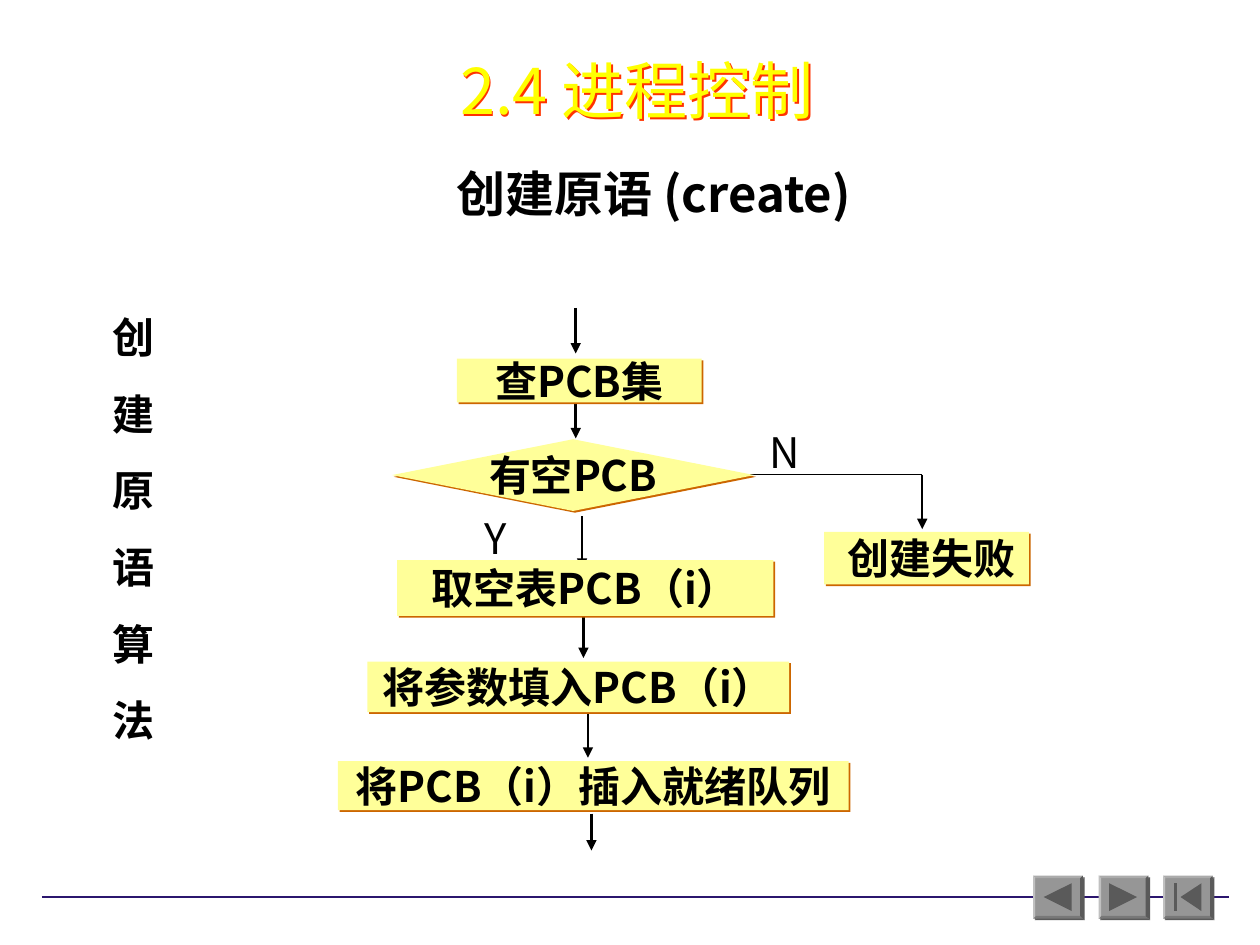
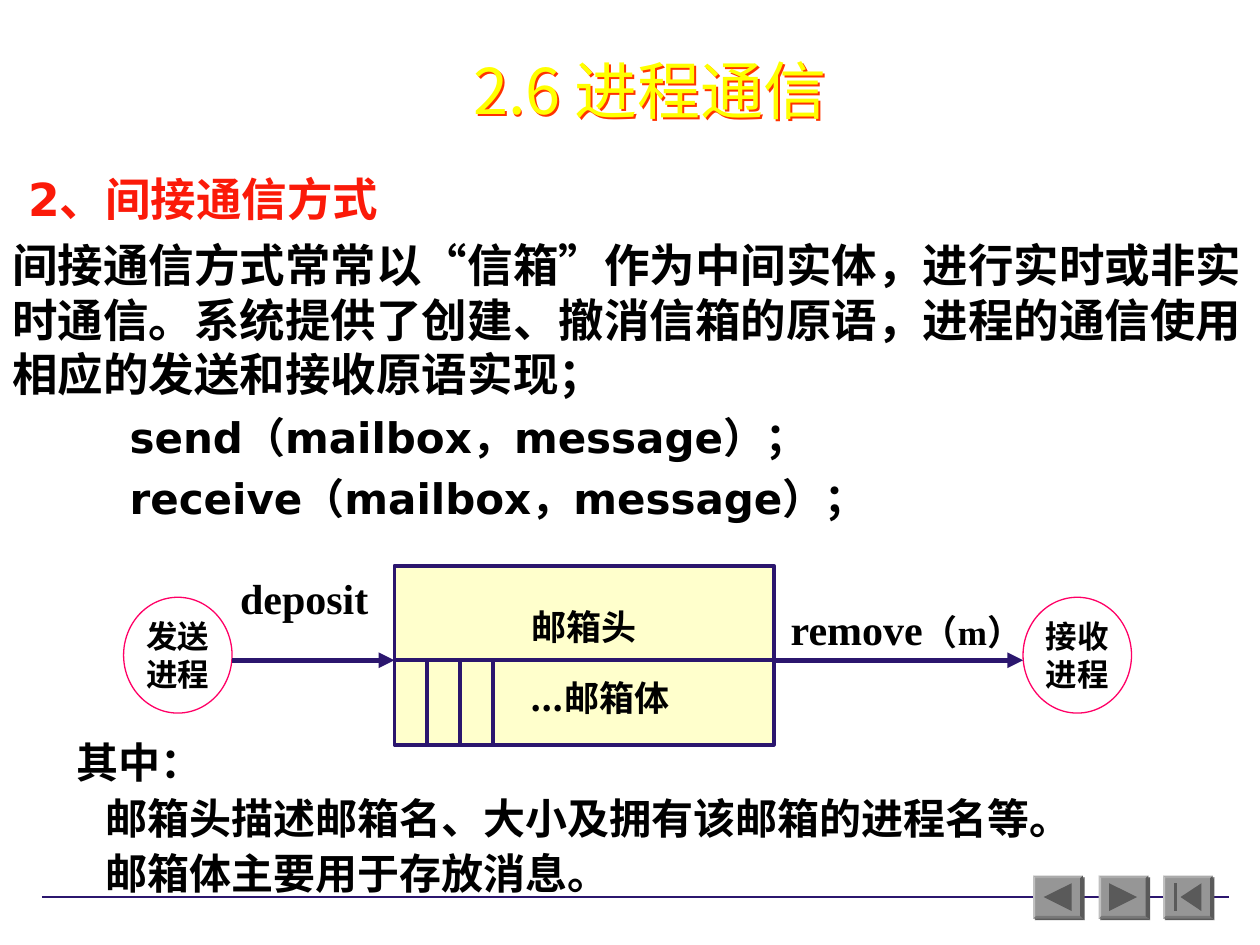
from lxml import etree
from pptx import Presentation
from pptx.dml.color import RGBColor
from pptx.enum import shapes, text
from pptx.oxml.ns import qn
from pptx.util import Pt

BLACK = RGBColor(0, 0, 0)
WHITE = RGBColor(255, 255, 255)
NAVY = RGBColor(0x2B, 0x16, 0x6E)
RED = RGBColor(0xFB, 0x1A, 0x09)
PINK = RGBColor(0xFF, 0x00, 0x66)
TITLE_YELLOW = RGBColor(0xFF, 0xFF, 0x00)
TITLE_SHADOW = RGBColor(0xFF, 0x33, 0x00)
STEP_YELLOW = RGBColor(0xFF, 0xFF, 0x99)
STEP_SHADOW = RGBColor(0xCC, 0x66, 0x00)
MAILBOX_CREAM = RGBColor(0xFF, 0xFF, 0xCC)
BUTTON_GREY = RGBColor(0x96, 0x96, 0x96)
BUTTON_DARK = RGBColor(0x5A, 0x5A, 0x5A)

SANS, TITLE_FONT = "Noto Sans CJK SC", "Noto Sans CJK JP"
LATIN_SANS, SERIF = "DejaVu Sans", "Times New Roman"
RECTANGLE = shapes.MSO_SHAPE.RECTANGLE
DECISION = shapes.MSO_SHAPE.FLOWCHART_DECISION
LEFT, CENTER = text.PP_ALIGN.LEFT, text.PP_ALIGN.CENTER
TOP, MIDDLE = text.MSO_ANCHOR.TOP, text.MSO_ANCHOR.MIDDLE

# Navigation glyphs: outlines relative to the top left of each button
BUTTON_TOP, BUTTON_SIZE = 500.4, (28.4, 24.5)
BUTTONS = [
    (590.4, [[(6, 12.2), (22, 4.3), (22, 20.2)]]),
    (627.8, [[(6, 4.3), (22, 12.2), (6, 20.2)]]),
    (664.6, [[(10, 12.2), (22, 4.3), (22, 20.2)],
             [(6.3, 4.3), (7.7, 4.3), (7.7, 20.2), (6.3, 20.2)]]),
]

# Flowchart: text, shape, box (left, top, width, height)
STEPS = [
    ("查PCB集", RECTANGLE, (261, 205, 140, 25)),
    ("有空PCB", DECISION, (224, 251, 207, 41)),
    ("取空表PCB（i）", RECTANGLE, (227, 320, 215, 32)),
    ("将参数填入PCB（i）", RECTANGLE, (210, 378, 241, 29)),
    ("将PCB（i）插入就绪队列", RECTANGLE, (193, 435, 292, 28)),
]
FAILURE = ("创建失败", RECTANGLE, (471, 304, 117, 30))
# x, start y, end y
FLOW_ARROWS = [(329, 176, 202), (329, 230, 250.5), (332.6, 295, 325),
               (333.4, 351, 376), (336, 407, 433), (338, 465, 486)]
BRANCH_LABELS = [("N", (430.6, 240, 36, 36)), ("Y", (267, 289.5, 32, 36))]
SIDE_LABEL = "创建原语算法"

INDIRECT = [
    dict(text="2、间接通信方式", size=26, color=RED, indent=9),
    dict(text="间接通信方式常常以“信箱”作为中间实体，进行实时或非实时通信。"
              "系统提供了创建、撤消信箱的原语，进程的通信使用相应的发送和接收原语实现；",
         size=26, before=6.5),
    dict(text="send（mailbox，message）；", size=24, before=6, indent=67),
    dict(text="receive（mailbox，message）；", size=24, before=6, indent=67),
]
NOTES = [
    dict(text="其中：", font=SERIF),
    dict(text="邮箱头描述邮箱名、大小及拥有该邮箱的进程名等。", before=3, indent=16.7),
    dict(text="邮箱体主要用于存放消息。", before=3, indent=16.7),
]
PROCESSES = [(("发送", "进程"), 70.6), (("接收", "进程"), 584.6)]
PROCESS_TOP, PROCESS_SIZE = 341.3, (62, 66.2)
MAILBOX = (225.4, 323.3, 216.7, 102.2)
MAILBOX_SPLIT, SLOT_WIDTH, SLOT_COUNT = 377.3, 18.7, 3


def points(values):
    return [Pt(value) for value in values]


def add_shadow(shape, color):
    effects = etree.SubElement(shape._element.spPr, qn("a:effectLst"))
    shadow = etree.SubElement(effects, qn("a:outerShdw"), dist="17961",
                              dir="2700000", algn="ctr", rotWithShape="0")
    etree.SubElement(shadow, qn("a:srgbClr"), val=str(color))


def style_paragraph(paragraph, size=24, font=SANS, color=BLACK, bold=True,
                    align=LEFT, before=0, indent=0, spacing=None):
    paragraph.alignment = align
    paragraph.space_before = Pt(before)
    if spacing:
        paragraph.line_spacing = Pt(spacing)
    if indent:
        properties = paragraph._p.get_or_add_pPr()
        properties.set("marL", str(Pt(indent)))
        properties.set("indent", "0")
    paragraph.font.size = Pt(size)
    paragraph.font.name = font
    paragraph.font.bold = bold
    paragraph.font.color.rgb = color
    latin = paragraph._p.find(".//" + qn("a:latin"))
    east_asian = etree.Element(qn("a:ea"),
                               typeface=TITLE_FONT if font == TITLE_FONT else SANS)
    latin.addnext(east_asian)


def write(shape, paragraphs, anchor=MIDDLE, wrap=True, **shared):
    """Fill a shape with paragraph dicts; shared gives their common style."""
    frame = shape.text_frame
    frame.word_wrap = wrap
    frame.vertical_anchor = anchor
    for index, item in enumerate(paragraphs):
        paragraph = frame.add_paragraph() if index else frame.paragraphs[0]
        style = {**shared, **item}
        paragraph.add_run().text = style.pop("text")
        style_paragraph(paragraph, **style)
    return frame


def add_label(slide, box, paragraphs, **style):
    return write(slide.shapes.add_textbox(*points(box)), paragraphs, **style)


def add_box(slide, kind, box, fill, line=None, line_width=0.75):
    shape = slide.shapes.add_shape(kind, *points(box))
    shape.shadow.inherit = False
    shape.fill.solid()
    shape.fill.fore_color.rgb = fill
    if line is None:
        shape.line.fill.background()
    else:
        shape.line.color.rgb = line
        shape.line.width = Pt(line_width)
    return shape


def add_line(slide, start, end, color=BLACK, width=1.5, arrow=False):
    line = slide.shapes.add_connector(shapes.MSO_CONNECTOR.STRAIGHT,
                                      *points(start + end))
    line.line.color.rgb = color
    line.line.width = Pt(width)
    if arrow:
        etree.SubElement(line.line._get_or_add_ln(), qn("a:tailEnd"), type="triangle")
    etree.SubElement(line._element.spPr, qn("a:effectLst"))


def add_navigation(slide):
    add_line(slide, (24, 512.6), (702, 512.6), NAVY, 0.75)
    for left, outlines in BUTTONS:
        button = add_box(slide, shapes.MSO_SHAPE.BEVEL,
                         (left, BUTTON_TOP) + BUTTON_SIZE, BUTTON_GREY)
        button.adjustments[0] = 0.06
        button._element.spPr.remove(button._element.spPr.find(qn("a:effectLst")))
        add_shadow(button, BUTTON_DARK)
        for outline in outlines:
            corners = [points((left + x, BUTTON_TOP + y)) for x, y in outline]
            builder = slide.shapes.build_freeform(*corners[0])
            builder.add_line_segments(corners[1:], close=True)
            glyph = builder.convert_to_shape()
            glyph.shadow.inherit = False
            glyph.fill.solid()
            glyph.fill.fore_color.rgb = BUTTON_DARK
            glyph.line.fill.background()


def add_slide(presentation, title, box):
    slide = presentation.slides.add_slide(presentation.slide_layouts[5])
    add_navigation(slide)
    heading = slide.shapes.title
    heading.left, heading.top, heading.width, heading.height = points(box)
    write(heading, [dict(text=title)], size=36, font=TITLE_FONT,
          color=TITLE_YELLOW, bold=False, align=CENTER)
    add_shadow(heading, TITLE_SHADOW)
    return slide


def add_step(slide, label, kind, box):
    step = add_box(slide, kind, box, STEP_YELLOW)
    step._element.spPr.remove(step._element.spPr.find(qn("a:effectLst")))
    add_shadow(step, STEP_SHADOW)
    return write(step, [dict(text=label)], wrap=False, align=CENTER)


def build_creation_slide(presentation):
    slide = add_slide(presentation, "2.4 进程控制", (58, 24, 612, 54))
    add_label(slide, (138, 89, 471, 42), [dict(text="创建原语 (create)")],
              size=28, align=CENTER)
    add_label(slide, (56, 174.5, 40, 255),
              [dict(text=character, before=15 if index else 0)
               for index, character in enumerate(SIDE_LABEL)],
              anchor=TOP, align=CENTER, spacing=28.8)
    for x, start, end in FLOW_ARROWS:
        add_line(slide, (x, start), (x, end), arrow=True)
    add_line(slide, (415, 271.2), (527, 271.2), width=1)
    add_line(slide, (527, 271.2), (527, 302.4), width=1, arrow=True)
    for step in STEPS:
        add_step(slide, *step)
    add_step(slide, *FAILURE).margin_left = Pt(12.6)
    for label, box in BRANCH_LABELS:
        add_label(slide, box, [dict(text=label)], bold=False, align=CENTER)


def build_mailbox(slide):
    left, top, width, height = MAILBOX
    mailbox = add_box(slide, RECTANGLE, MAILBOX, MAILBOX_CREAM, NAVY, 2.25)
    frame = write(mailbox, [dict(text="邮箱头", spacing=24),
                            dict(text="...邮箱体", spacing=40.8, indent=18)],
                  wrap=False, size=20, align=CENTER)
    frame.margin_top = Pt(11.6)
    add_line(slide, (left, MAILBOX_SPLIT), (left + width, MAILBOX_SPLIT), NAVY, 2.25)
    for slot in range(1, SLOT_COUNT + 1):
        x = left + slot * SLOT_WIDTH
        add_line(slide, (x, MAILBOX_SPLIT), (x, top + height), NAVY, 2.25)


def build_communication_slide(presentation):
    slide = add_slide(presentation, "2.6 进程通信", (227, 26, 289, 50))
    add_label(slide, (0, 94.3, 720, 201), INDIRECT[:2], anchor=TOP,
              font=LATIN_SANS, spacing=31.2).auto_size = text.MSO_AUTO_SIZE.NONE
    frame = slide.shapes[-1].text_frame
    for item in INDIRECT[2:]:
        paragraph = frame.add_paragraph()
        style = dict(item)
        paragraph.add_run().text = style.pop("text")
        style_paragraph(paragraph, font=LATIN_SANS, spacing=28.8, **style)

    build_mailbox(slide)
    for lines, left in PROCESSES:
        circle = add_box(slide, shapes.MSO_SHAPE.OVAL,
                         (left, PROCESS_TOP) + PROCESS_SIZE, WHITE, PINK)
        write(circle, [dict(text=line) for line in lines], wrap=False,
              size=18, font=SERIF, align=CENTER, spacing=21.6)
    mailbox_right = MAILBOX[0] + MAILBOX[2]
    for start, end in [(PROCESSES[0][1] + PROCESS_SIZE[0], MAILBOX[0]),
                       (mailbox_right, PROCESSES[1][1])]:
        add_line(slide, (start, MAILBOX_SPLIT), (end, MAILBOX_SPLIT), NAVY, 3, True)
    add_label(slide, (122.4, 323.3, 103, 36), [dict(text="deposit")],
              font=SERIF, align=CENTER)
    remove = add_label(slide, (437, 341.3, 162, 36), [dict(text="remove")],
                       wrap=False, font=SERIF, align=CENTER)
    argument = remove.paragraphs[0].add_run()
    argument.text = "（m）"
    argument.font.size = Pt(20)
    add_label(slide, (36.7, 417, 661, 100), NOTES, spacing=28.8)


def main():
    presentation = Presentation()
    presentation.slide_width, presentation.slide_height = Pt(720), Pt(540)
    build_creation_slide(presentation)
    build_communication_slide(presentation)
    presentation.save("out.pptx")


if __name__ == "__main__":
    main()
